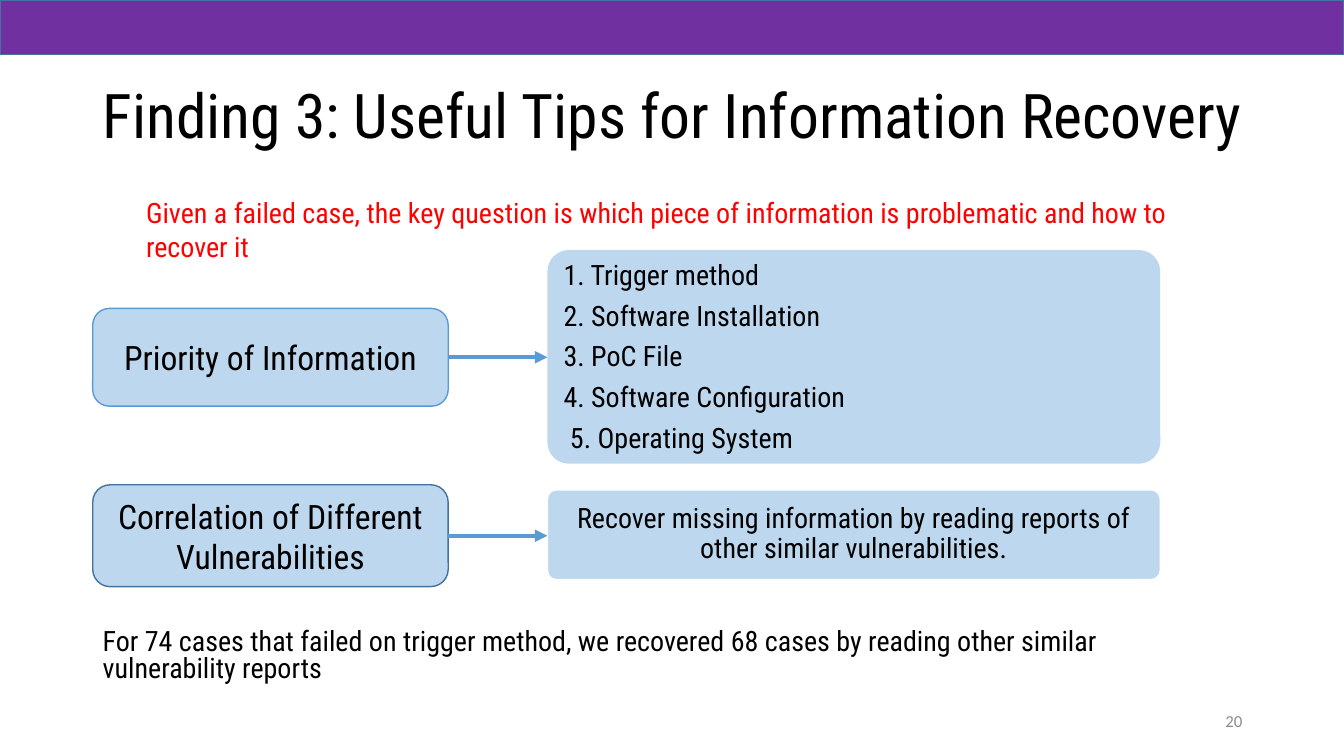
from lxml import etree
from pptx import Presentation
from pptx.dml.color import RGBColor
from pptx.enum.shapes import MSO_CONNECTOR, MSO_SHAPE
from pptx.enum.text import MSO_ANCHOR, PP_ALIGN
from pptx.oxml.ns import qn
from pptx.util import Inches, Pt

COLORS = {
    "banner": "7030A0", "panel": "BDD7EE", "edge": "43739E", "accent": "5B9BD5",
    "white": "FFFFFF", "text": "000000", "alert": "FF0000", "muted": "8C8C8C",
}


def rgb(name):
    return RGBColor.from_string(COLORS[name])


class SlideBuilder:
    font = "Roboto Condensed"
    divisions = 100

    def __init__(self, prs):
        self.slide = prs.slides.add_slide(prs.slide_layouts[6])
        self.column = prs.slide_width / self.divisions
        self.row = prs.slide_height / self.divisions

    def place(self, x, y, width, height):
        return [round(n * unit) for n, unit in
                zip((x, y, width, height), (self.column, self.row) * 2)]

    def set_lines(self, shape, lines, size, color="text", font=None, align=PP_ALIGN.LEFT,
                  anchor=MSO_ANCHOR.TOP, spacing=1.0, after=0):
        frame = shape.text_frame
        frame.word_wrap = True
        frame.vertical_anchor = anchor
        for index, line in enumerate(lines):
            paragraph = frame.add_paragraph() if index else frame.paragraphs[0]
            paragraph.alignment = align
            paragraph.line_spacing = spacing
            paragraph.space_after = Pt(after)
            run = paragraph.add_run()
            run.text = line
            run.font.name = font or self.font
            run.font.size = Pt(size)
            run.font.color.rgb = rgb(color)

    def text(self, box, line, size, **style):
        self.set_lines(self.slide.shapes.add_textbox(*self.place(*box)), [line], size, **style)

    def block(self, box, fill, edge=None, corner=None, lines=(), size=20, **style):
        kind = MSO_SHAPE.RECTANGLE if corner is None else MSO_SHAPE.ROUNDED_RECTANGLE
        shape = self.slide.shapes.add_shape(kind, *self.place(*box))
        shape.shadow.inherit = False
        shape.fill.solid()
        shape.fill.fore_color.rgb = rgb(fill)
        if corner is not None:
            shape.adjustments[0] = corner
        if edge:
            shape.line.color.rgb = rgb(edge)
            shape.line.width = Pt(1)
        else:
            shape.line.fill.background()
        self.set_lines(shape, lines, size, **style)

    def arrow(self, start, end):
        ends = self.place(*start, *end)
        connector = self.slide.shapes.add_connector(MSO_CONNECTOR.STRAIGHT, *ends)
        connector.line.color.rgb = rgb("accent")
        connector.line.width = Pt(3)
        properties = connector._element.spPr
        etree.SubElement(properties.find(qn("a:ln")), qn("a:tailEnd"), type="triangle")
        etree.SubElement(properties, qn("a:effectLst"))


prs = Presentation()
prs.slide_width, prs.slide_height = Inches(13.33), Inches(7.5)
page = SlideBuilder(prs)

LEFT, TOPIC_WIDTH = 6.9, 26.45
DETAIL_LEFT, DETAIL_WIDTH = 40.73, 45.6
TOPIC_RIGHT = LEFT + TOPIC_WIDTH
CENTERED = dict(align=PP_ALIGN.CENTER, anchor=MSO_ANCHOR.MIDDLE)

page.block((0, 0, 100, 7.2), "banner", "edge")
page.text((LEFT, 6, 86.9, 19.33), "Finding 3: Useful Tips for Information Recovery", 44,
          anchor=MSO_ANCHOR.MIDDLE, spacing=0.9)
page.text((10.13, 25.2, 77.95, 5.87),
          "Given a failed case, the key question is which piece of information "
          "is problematic and how to recover it", 20, color="alert")

priorities = ["1. Trigger method", "2. Software Installation", "3. PoC File",
              "4. Software Configuration", " 5. Operating System"]
advice = ["Recover missing information by reading reports of other similar vulnerabilities."]
topics = [
    ("Priority of Information", "accent", 40.8, 12.93,
     priorities, None, 33.07, 28.27, dict(after=7.5)),
    ("Correlation of Different Vulnerabilities", "edge", 64.13, 13.47,
     advice, "white", 64.8, 11.87, CENTERED),
]
for topic, edge, top, height, details, detail_edge, detail_top, detail_height, style in topics:
    page.block((LEFT, top, TOPIC_WIDTH, height), "panel", edge, 0.17, [topic], 24, **CENTERED)
    page.block((DETAIL_LEFT, detail_top, DETAIL_WIDTH, detail_height), "panel", detail_edge,
               0.1, details, spacing=0.9, **style)
    middle = top + height / 2
    page.arrow((TOPIC_RIGHT, middle), (DETAIL_LEFT, middle))

page.text((LEFT, 82.67, 84.47, 5.33),
          "For 74 cases that failed on trigger method, we recovered 68 cases "
          "by reading other similar vulnerability reports", 20, spacing=0.8)
page.text((70.67, 92.67, 22.5, 5.33), "20", 12, color="muted", font="Calibri",
          align=PP_ALIGN.RIGHT, anchor=MSO_ANCHOR.MIDDLE)

prs.save("out.pptx")
